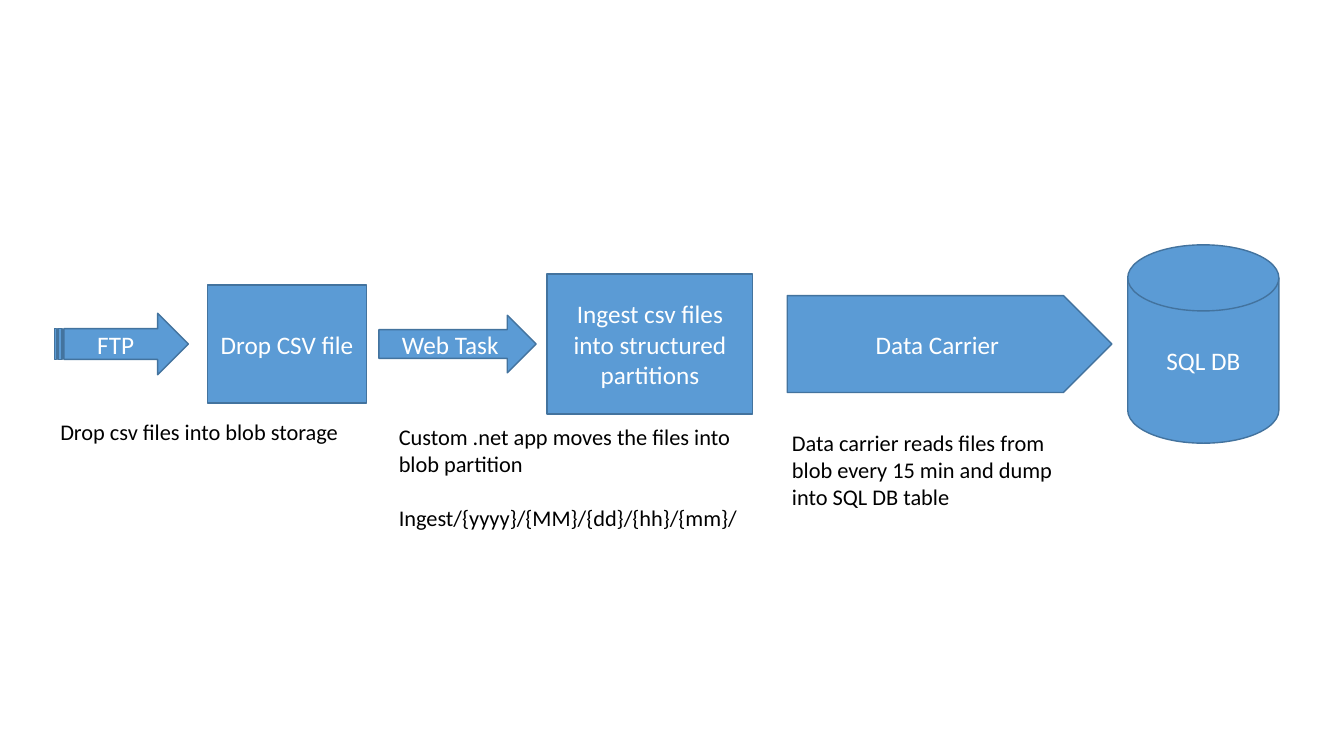
from dataclasses import dataclass

from pptx import Presentation
from pptx.dml.color import RGBColor
from pptx.enum.shapes import MSO_SHAPE as Shape
from pptx.enum.text import MSO_ANCHOR as Anchor, MSO_AUTO_SIZE as AutoSize, PP_ALIGN as Align
from pptx.util import Cm, Pt

# Pipeline stages: preset, label, left, width, height (cm)
STAGES = [
    (Shape.STRIPED_RIGHT_ARROW, "FTP ", 1.37, 3.38, 1.55),
    (Shape.FLOWCHART_PROCESS, "Drop CSV file", 5.23, 4.01, 2.97),
    (Shape.RIGHT_ARROW, "Web Task", 9.55, 3.96, 1.45),
    (Shape.FLOWCHART_PROCESS, "Ingest csv files into structured partitions", 13.79, 5.18, 3.53),
    (Shape.PENTAGON, "Data Carrier", 19.84, 8.18, 2.44),
    (Shape.FLOWCHART_MAGNETIC_DISK, "SQL DB", 28.42, 3.81, 5.0),
]

# Notes below the stages: paragraphs, left, top, width, height (cm)
NOTES = [
    (["Drop csv files into blob storage"], 1.27, 10.41, 7.98, 0.94),
    (["Custom .net app moves the files into blob partition",
      "Ingest/{yyyy}/{MM}/{dd}/{hh}/{mm}/"], 9.8, 10.54, 9.17, 3.0),
    (["Data carrier reads files from blob every 15 min and dump into SQL DB table"],
     19.71, 10.69, 7.98, 2.31),
]

AXIS_Y = 8.67  # every stage is centred on this height


@dataclass(frozen=True)
class Theme:
    font: str = "Calibri"
    fill: RGBColor = RGBColor(0x5B, 0x9B, 0xD5)
    line: RGBColor = RGBColor(0x43, 0x73, 0x9E)
    label: RGBColor = RGBColor(0xFF, 0xFF, 0xFF)
    note: RGBColor = RGBColor(0, 0, 0)
    label_size: Pt = Pt(18)
    note_size: Pt = Pt(16)
    line_width: Pt = Pt(1)
    note_gap: Pt = Pt(19.5)


THEME = Theme()


def add_run(p, text, size, color):
    r = p.add_run()
    r.text = text
    r.font.name = THEME.font
    r.font.size = size
    r.font.color.rgb = color


def add_stage(s, preset, label, left, width, height):
    sp = s.shapes.add_shape(preset, Cm(left), Cm(AXIS_Y - height / 2), Cm(width), Cm(height))
    sp.shadow.inherit = False
    sp.fill.solid()
    sp.fill.fore_color.rgb = THEME.fill
    sp.line.color.rgb = THEME.line
    sp.line.width = THEME.line_width
    tf = sp.text_frame
    tf.word_wrap = True
    tf.vertical_anchor = Anchor.MIDDLE
    p = tf.paragraphs[0]
    p.alignment = Align.CENTER
    add_run(p, label, THEME.label_size, THEME.label)


def add_note(s, paragraphs, *box):
    tf = s.shapes.add_textbox(*map(Cm, box)).text_frame
    tf.word_wrap = True
    tf.auto_size = AutoSize.SHAPE_TO_FIT_TEXT
    for i, text in enumerate(paragraphs):
        p = tf.add_paragraph() if i else tf.paragraphs[0]
        if i:
            p.space_before = THEME.note_gap
        add_run(p, text, THEME.note_size, THEME.note)


def main():
    prs = Presentation()
    prs.slide_width, prs.slide_height = Cm(33.87), Cm(19.05)
    s = prs.slides.add_slide(prs.slide_layouts[6])
    for stage in STAGES:
        add_stage(s, *stage)
    for note in NOTES:
        add_note(s, *note)
    prs.save("out.pptx")


if __name__ == "__main__":
    main()
